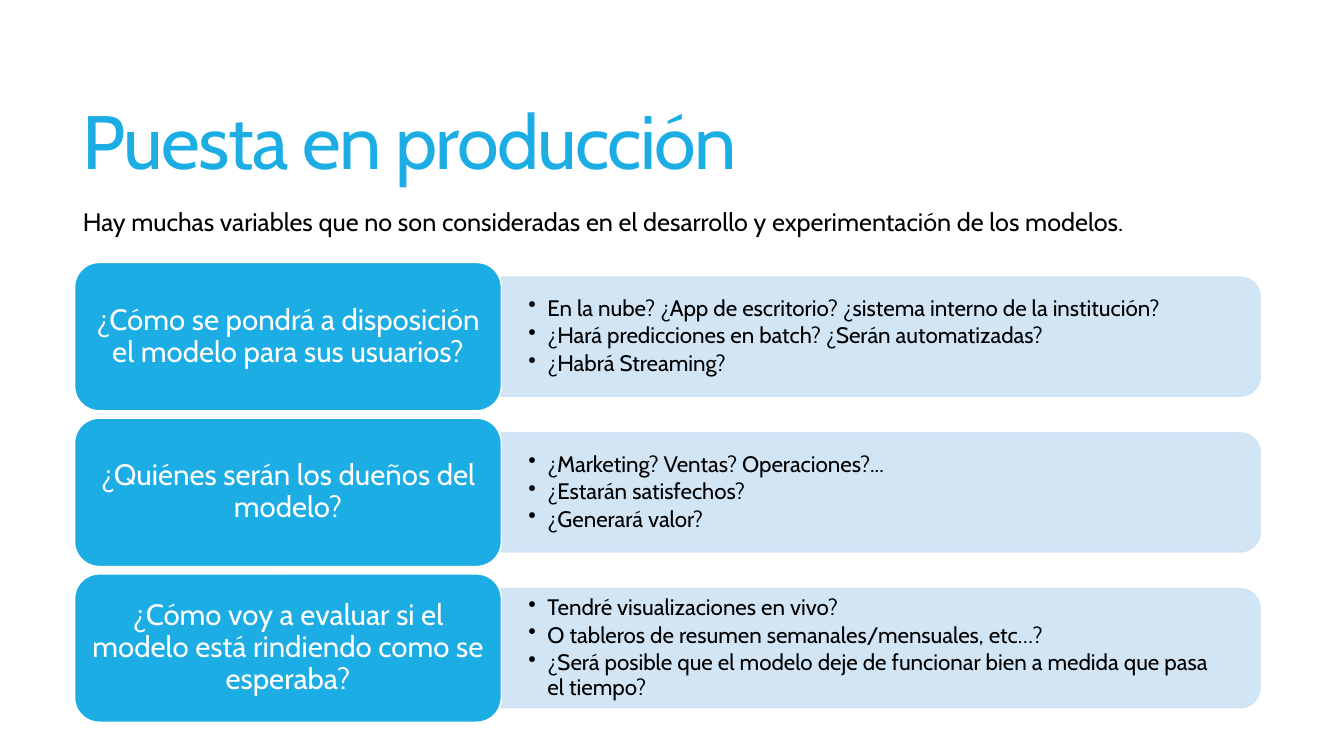
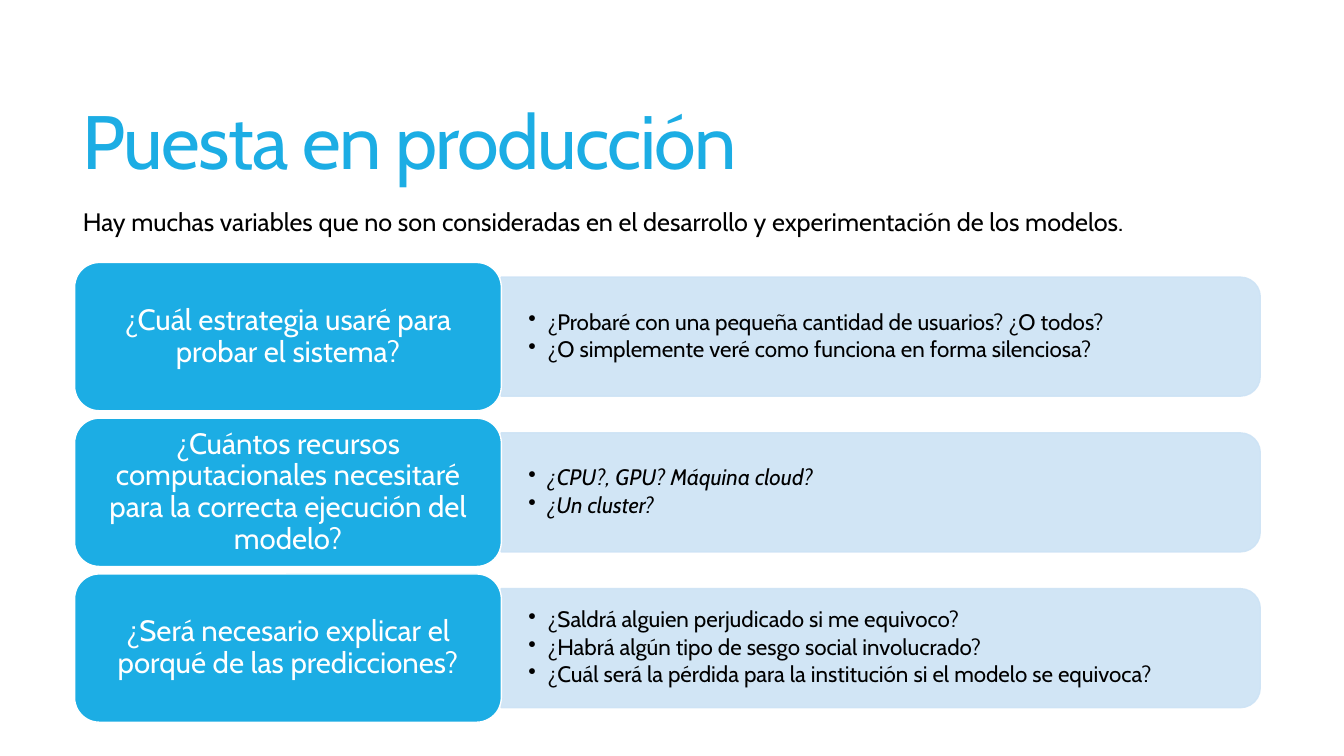
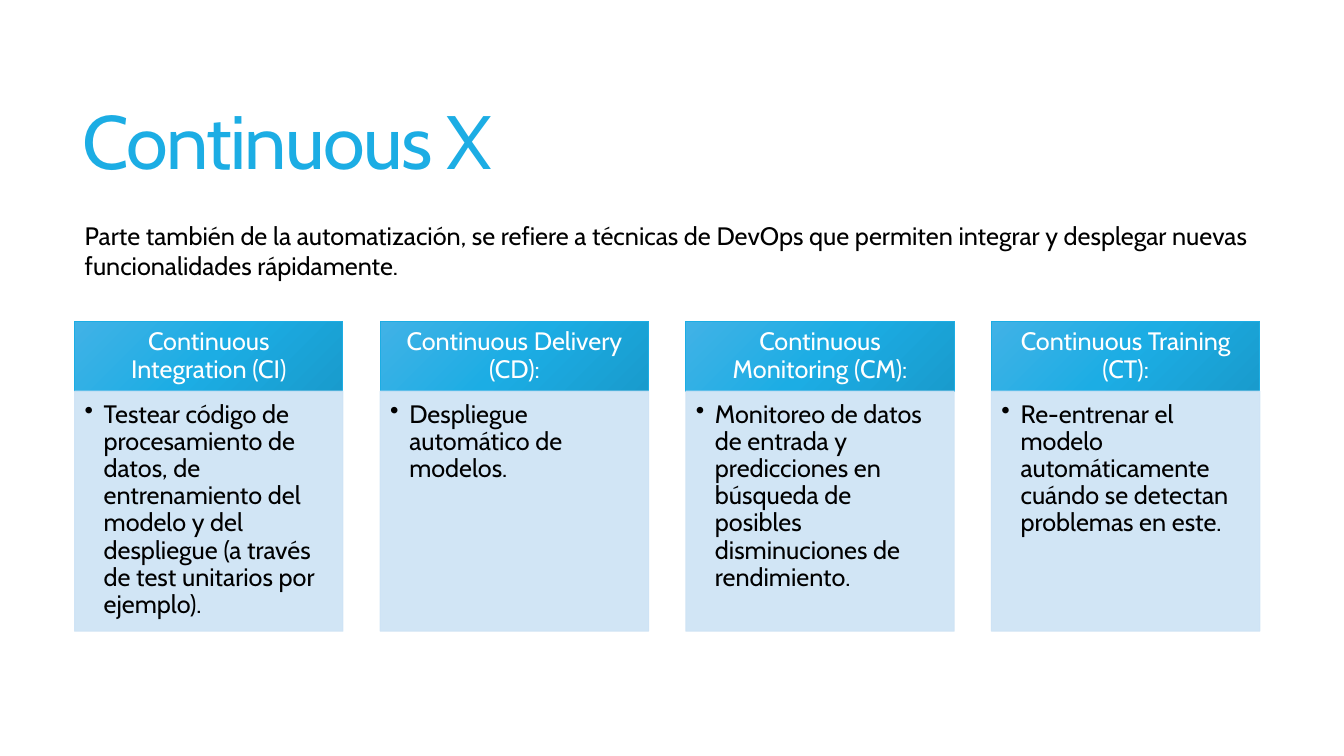
import copy

import pptx
import pptx.dml.color
import pptx.enum.shapes
import pptx.enum.text
import pptx.oxml
import pptx.oxml.ns
import pptx.util

Pt = pptx.util.Pt
RGBColor = pptx.dml.color.RGBColor
Shape = pptx.enum.shapes.MSO_SHAPE
Align = pptx.enum.text.PP_ALIGN
Anchor = pptx.enum.text.MSO_ANCHOR
qn = pptx.oxml.ns.qn

BLUE = RGBColor(0x1C, 0xAD, 0xE4)
BLUE_LIGHT = RGBColor(0x41, 0xB2, 0xE6)
BLUE_DARK = RGBColor(0x19, 0x9B, 0xCD)
PALE = RGBColor(0xCD, 0xE3, 0xF5)
WHITE = RGBColor(0xFF, 0xFF, 0xFF)
BLACK = RGBColor(0x00, 0x00, 0x00)
FONT = "Cabin"

LEFT = 53.3
ROW_TOP, ROW_PITCH, ROW_HEIGHT = 187.5, 111.25, 105.9
LABEL_WIDTH = 304.8
PANEL_LEFT, PANEL_WIDTH, PANEL_HEIGHT = 358, 542.2, 85
ANSWER_WIDTH, ANSWER_HEIGHT = 538, 76
COLUMN_PITCH, COLUMN_WIDTH = 218.3, 191.7
HEADER_TOP, HEADER_HEIGHT, DETAIL_HEIGHT = 229.7, 49.7, 171.4

PRODUCTION_TITLE = "Puesta en producción"
PRODUCTION_INTRO = (
    "Hay muchas variables que no son consideradas en el desarrollo "
    "y experimentación de los modelos."
)
QUESTION_PAGES = [
    [
        ("¿Cómo se pondrá a disposición el modelo para sus usuarios?", False, [
            "En la nube? ¿App de escritorio? ¿sistema interno de la institución?",
            "¿Hará predicciones en batch? ¿Serán automatizadas?",
            "¿Habrá Streaming?",
        ]),
        ("¿Quiénes serán los dueños del modelo?", False, [
            "¿Marketing? Ventas? Operaciones?...",
            "¿Estarán satisfechos?",
            "¿Generará valor?",
        ]),
        ("¿Cómo voy a evaluar si el modelo está rindiendo como se esperaba?", False, [
            "Tendré visualizaciones en vivo?",
            "O tableros de resumen semanales/mensuales, etc…?",
            "¿Será posible que el modelo deje de funcionar bien a medida que pasa el tiempo?",
        ]),
    ],
    [
        ("¿Cuál estrategia usaré para probar el sistema?", False, [
            "¿Probaré con una pequeña cantidad de usuarios? ¿O todos?",
            "¿O simplemente veré como funciona en forma silenciosa?",
        ]),
        ("¿Cuántos recursos computacionales necesitaré para la correcta "
         "ejecución del modelo?", True, [
            "¿CPU?, GPU? Máquina cloud?",
            "¿Un cluster?",
        ]),
        ("¿Será necesario explicar el porqué de las predicciones?", False, [
            "¿Saldrá alguien perjudicado si me equivoco?",
            "¿Habrá algún tipo de sesgo social involucrado?",
            "¿Cuál será la pérdida para la institución si el modelo se equivoca?",
        ]),
    ],
]
CONTINUOUS_TITLE = "Continuous X"
CONTINUOUS_INTRO = (
    "Parte también de la automatización, se refiere a técnicas de DevOps que "
    "permiten integrar y desplegar nuevas funcionalidades rápidamente."
)
PRACTICES = [
    ("Continuous Integration (CI)",
     "Testear código de procesamiento de datos, de entrenamiento del modelo y "
     "del despliegue (a través de test unitarios por ejemplo)."),
    ("Continuous Delivery (CD):", "Despliegue automático de modelos."),
    ("Continuous Monitoring (CM):",
     "Monitoreo de datos de entrada y predicciones en búsqueda de posibles "
     "disminuciones de rendimiento."),
    ("Continuous Training (CT):",
     "Re-entrenar el modelo automáticamente cuándo se detectan problemas en este."),
]


def write(box, lines, size=18, color=BLACK, align=Align.LEFT, anchor=Anchor.MIDDLE,
          insets=(7.2, 3.6, 7.2, 3.6), leading=0.9, after=0, bullet=False,
          italic=False, tracking=0):
    frame = box.text_frame
    frame.word_wrap = True
    frame.auto_size = pptx.enum.text.MSO_AUTO_SIZE.NONE
    frame.vertical_anchor = anchor
    (frame.margin_left, frame.margin_top,
     frame.margin_right, frame.margin_bottom) = [Pt(inset) for inset in insets]
    for index, line in enumerate(lines):
        para = frame.paragraphs[0] if index == 0 else frame.add_paragraph()
        properties = para._p.get_or_add_pPr()
        indent = Pt(13.7) if bullet else 0
        properties.set("marL", str(indent))
        properties.set("indent", str(-indent))
        mark = pptx.oxml.parse_xml(
            '<a:%s xmlns:a="http://schemas.openxmlformats.org/drawingml/2006/main"/>'
            % ("buChar" if bullet else "buNone"))
        if bullet:
            mark.set("char", "•")
        properties.append(mark)
        para.alignment = align
        para.line_spacing = leading
        para.space_before = Pt(0)
        para.space_after = Pt(after)
        span = para.add_run()
        span.text = line
        span.font.name = FONT
        span.font.size = Pt(size)
        span.font.color.rgb = color
        span.font.italic = italic
        if tracking:
            span._r.get_or_add_rPr().set("spc", str(round(tracking * 100)))


def draw(page, kind, left, top, width, height, fill, line, weight, opacity=100):
    box = page.shapes.add_shape(kind, Pt(left), Pt(top), Pt(width), Pt(height))
    box.shadow.inherit = False
    box.fill.solid()
    box.fill.fore_color.rgb = fill
    box.line.color.rgb = line
    box.line.width = Pt(weight)
    if opacity < 100:
        for color in box._element.spPr.iter(qn("a:srgbClr")):
            alpha = color.makeelement(qn("a:alpha"), {"val": str(opacity * 1000)})
            color.append(alpha)
    return box


deck = pptx.Presentation()
deck.slide_width, deck.slide_height = Pt(960), Pt(540)
layout = deck.slide_layouts[1]
heading = layout.placeholders[0]
heading.left, heading.top, heading.width, heading.height = Pt(52), Pt(39.6), Pt(848), Pt(130.3)

pages = []
for title, intro, intro_left, intro_top, intro_height in [
    (PRODUCTION_TITLE, PRODUCTION_INTRO, 52, 144, 29),
    (PRODUCTION_TITLE, PRODUCTION_INTRO, 52, 144, 29),
    (CONTINUOUS_TITLE, CONTINUOUS_INTRO, 53.3, 153.4, 51),
]:
    page = deck.slides.add_slide(layout)
    write(page.shapes.title, [title], size=54, color=BLUE, leading=0.85, tracking=-1.2)
    body = page.placeholders[1]
    body.left, body.top = Pt(intro_left), Pt(intro_top)
    body.width, body.height = Pt(900 - intro_left), Pt(intro_height)
    write(body, [intro], anchor=Anchor.TOP, leading=1.0)
    pages.append(page)

for page, questions in zip(pages, QUESTION_PAGES):
    for row, (question, italic, answers) in enumerate(questions):
        top = ROW_TOP + row * ROW_PITCH
        middle = top + ROW_HEIGHT / 2
        panel = draw(page, Shape.ROUND_2_SAME_RECTANGLE,
                     PANEL_LEFT + (PANEL_WIDTH - PANEL_HEIGHT) / 2, middle - PANEL_WIDTH / 2,
                     PANEL_HEIGHT, PANEL_WIDTH, PALE, PALE, 1, opacity=90)
        panel.rotation = 90
        answer_box = page.shapes.add_textbox(
            Pt(PANEL_LEFT), Pt(middle - ANSWER_HEIGHT / 2), Pt(ANSWER_WIDTH), Pt(ANSWER_HEIGHT))
        write(answer_box, answers, size=16, insets=(19.4, 9.7, 19.4, 9.7),
              after=2.4, bullet=True, italic=italic)
        label = draw(page, Shape.ROUNDED_RECTANGLE, LEFT, top, LABEL_WIDTH, ROW_HEIGHT,
                     BLUE, WHITE, 1)
        write(label, [question], size=21, color=WHITE, align=Align.CENTER,
              insets=(6.3, 3.1, 6.3, 3.1))

for column, (practice, detail) in enumerate(PRACTICES):
    left = LEFT + column * COLUMN_PITCH
    header = draw(pages[2], Shape.RECTANGLE, left, HEADER_TOP, COLUMN_WIDTH, HEADER_HEIGHT,
                  BLUE, BLUE, 0.75)
    header.fill.gradient()
    header.fill.gradient_angle = 315
    stop_list = header._element.spPr.find(qn("a:gradFill")).find(qn("a:gsLst"))
    stop_list.append(copy.deepcopy(stop_list[-1]))
    for stop, position, color in zip(header.fill.gradient_stops, (0, 0.5, 1),
                                     (BLUE_LIGHT, BLUE, BLUE_DARK)):
        stop.position = position
        stop.color.rgb = color
    write(header, [practice], color=WHITE, align=Align.CENTER, insets=(10.1, 5.8, 10.1, 5.8))
    detail_box = draw(pages[2], Shape.RECTANGLE, left, HEADER_TOP + HEADER_HEIGHT,
                      COLUMN_WIDTH, DETAIL_HEIGHT, PALE, PALE, 0.75, opacity=90)
    write(detail_box, [detail], anchor=Anchor.TOP, insets=(7.2, 7.2, 10.1, 11.5), bullet=True)

deck.save("out.pptx")
